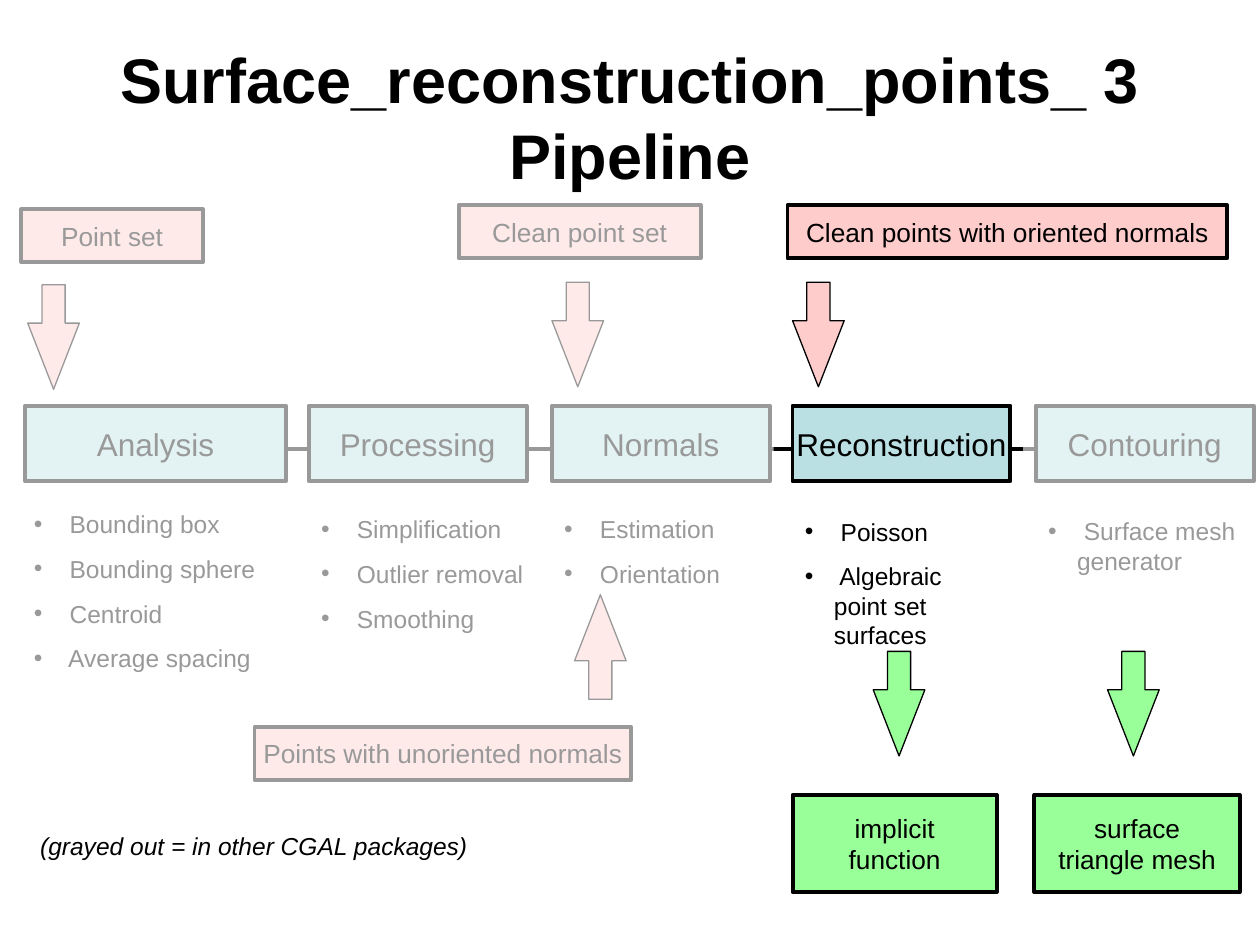
from lxml import etree
from pptx import Presentation
from pptx.dml.color import RGBColor
from pptx.enum.shapes import MSO_CONNECTOR, MSO_SHAPE
from pptx.enum.text import MSO_ANCHOR, PP_ALIGN
from pptx.oxml.ns import qn
from pptx.util import Inches, Pt

COLORS = {
    "black": "000000",
    "white": "FFFFFF",
    "stage": "BBE0E3",
    "input": "FFCCCC",
    "output": "99FF99",
}


def add_text(paragraph, text, size, bold=False, italic=False):
    """Add black Arial runs to a paragraph, with a break at each newline."""
    for index, line in enumerate(text.split("\n")):
        if index:
            paragraph.add_line_break()
        run = paragraph.add_run()
        run.text = line
        run.font.name = "Arial"
        run.font.size = Pt(size)
        run.font.bold = bold
        run.font.italic = italic
        run.font.color.rgb = RGBColor.from_string(COLORS["black"])


def add_filled(kind, box, color, line_width=None):
    """Add a shape without shadow; without a line width it has no outline."""
    shape = slide.shapes.add_shape(kind, *map(Inches, box))
    shape.shadow.inherit = False
    shape.fill.solid()
    shape.fill.fore_color.rgb = RGBColor.from_string(COLORS[color])
    if line_width is None:
        shape.line.fill.background()
    else:
        shape.line.width = Pt(line_width)
        shape.line.color.rgb = RGBColor.from_string(COLORS["black"])
    return shape


presentation = Presentation()
presentation.slide_width = Inches(10)
presentation.slide_height = Inches(7.5)
slide = presentation.slides.add_slide(presentation.slide_layouts[5])

title = slide.shapes.title
title.left, title.top = Inches(0.5), Inches(0.3)
title.width, title.height = Inches(9), Inches(1.25)
title.text_frame.word_wrap = True
title.text_frame.vertical_anchor = MSO_ANCHOR.MIDDLE
title.text_frame.paragraphs[0].alignment = PP_ALIGN.CENTER
add_text(title.text_frame.paragraphs[0], "Surface_reconstruction_points_ 3 Pipeline", 36, bold=True)

# Boxes: text, left, top, width, height, colour, text size
stage_top, stage_height = 3.22, 0.6
boxes = [
    ("Analysis", 0.2, stage_top, 2.07, stage_height, "stage", 18),
    ("Processing", 2.45, stage_top, 1.73, stage_height, "stage", 18),
    ("Normals", 4.38, stage_top, 1.73, stage_height, "stage", 18),
    ("Reconstruction", 6.29, stage_top, 1.73, stage_height, "stage", 18),
    ("Contouring", 8.22, stage_top, 1.73, stage_height, "stage", 18),
    ("Point set", 0.17, 1.66, 1.44, 0.42, "input", 15),
    ("Clean point set", 3.64, 1.63, 1.92, 0.42, "input", 15),
    ("Clean points with oriented normals", 6.25, 1.63, 3.49, 0.42, "input", 15),
    ("Points with unoriented normals", 2.02, 5.77, 2.99, 0.42, "input", 15),
    ("implicit\nfunction", 6.29, 6.31, 1.62, 0.77, "output", 15),
    ("surface\ntriangle mesh", 8.21, 6.31, 1.63, 0.77, "output", 15),
]
for text, left, top, width, height, color, size in boxes:
    shape = add_filled(MSO_SHAPE.RECTANGLE, (left, top, width, height), color, 2.25)
    frame = shape.text_frame
    frame.word_wrap = False
    frame.vertical_anchor = MSO_ANCHOR.MIDDLE
    frame.paragraphs[0].alignment = PP_ALIGN.CENTER
    add_text(frame.paragraphs[0], text, size)

# Links between neighbouring stages
for left in (2.26, 4.19, 6.1, 8.02):
    link = slide.shapes.add_connector(
        MSO_CONNECTOR.STRAIGHT, Inches(left), Inches(3.56), Inches(left + 0.19), Inches(3.56)
    )
    link.line.width = Pt(2.25)
    link.line.color.rgb = RGBColor.from_string(COLORS["black"])
    etree.SubElement(link._element.spPr, qn("a:effectLst"))

# Block arrows: left, top, rotation, colour
arrows = [
    (0.01, 2.47, 90, "input"),
    (4.17, 2.45, 90, "input"),
    (6.08, 2.45, 90, "input"),
    (4.35, 4.93, 270, "input"),
    (6.72, 5.38, 90, "output"),
    (8.58, 5.38, 90, "output"),
]
for left, top, rotation, color in arrows:
    arrow = add_filled(MSO_SHAPE.RIGHT_ARROW, (left, top, 0.83, 0.41), color, 0.75)
    arrow.rotation = rotation
    arrow.adjustments[0] = 0.448
    arrow.adjustments[1] = 1.28

# Bullet lists: left, top, width, height, items
bullet_lists = [
    (0.17, 3.99, 2.07, 1.76, ["Bounding box", "Bounding sphere", "Centroid", "Average spacing"]),
    (2.45, 4.03, 1.91, 1.05, ["Simplification", "Outlier removal", "Smoothing"]),
    (4.38, 4.03, 1.73, 0.69, ["Estimation", "Orientation"]),
    (6.29, 4.05, 1.73, 0.92, ["Poisson", "Algebraic point set surfaces"]),
    (8.22, 4.05, 1.73, 0.57, ["Surface mesh generator"]),
]
for left, top, width, height, items in bullet_lists:
    text_box = slide.shapes.add_textbox(*map(Inches, (left, top, width, height)))
    frame = text_box.text_frame
    frame.word_wrap = True
    for index, item in enumerate(items):
        paragraph = frame.add_paragraph() if index else frame.paragraphs[0]
        paragraph.space_before = Pt(8.8)
        properties = paragraph._p.get_or_add_pPr()
        properties.set("marL", str(Inches(0.23)))
        properties.set("indent", str(Inches(-0.23)))
        etree.SubElement(properties, qn("a:buFont"), typeface="Arial")
        etree.SubElement(properties, qn("a:buChar"), char="•")
        add_text(paragraph, " " + item, 14)

note = slide.shapes.add_textbox(Inches(0.22), Inches(6.55), Inches(3.81), Inches(0.34))
note.text_frame.word_wrap = True
note.text_frame.paragraphs[0].space_before = Pt(8.8)
add_text(note.text_frame.paragraphs[0], "(grayed out = in other CGAL packages)", 14, italic=True)

# Translucent veils gray out the steps handled by other packages
for box in ((0, 1.55, 6.14, 5), (8.12, 2.77, 1.88, 2.19)):
    veil = add_filled(MSO_SHAPE.RECTANGLE, box, "white")
    veil_color = veil._element.spPr.find(qn("a:solidFill"))[0]
    etree.SubElement(veil_color, qn("a:alpha"), val="60000")

presentation.save("out.pptx")
